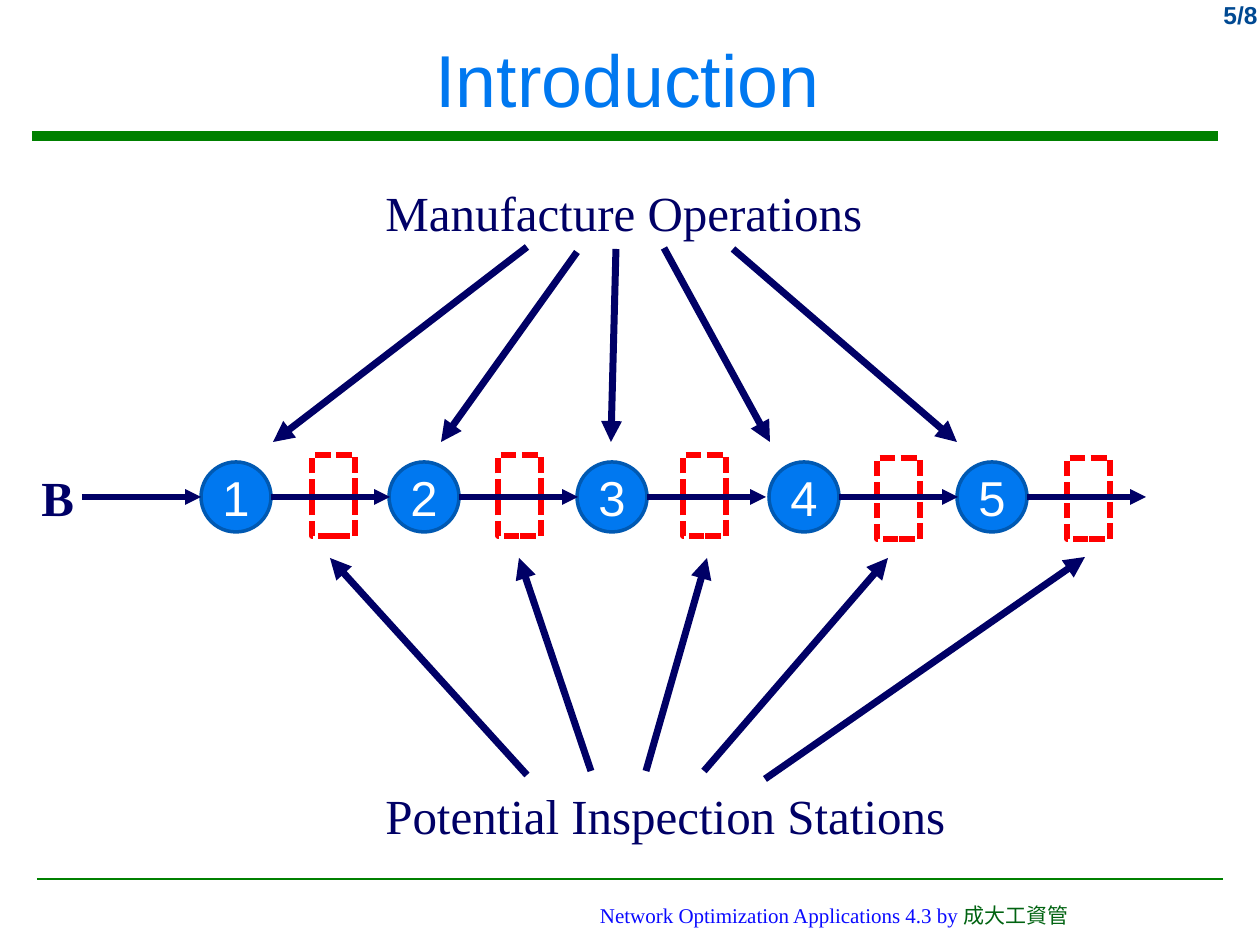
import pptx
import pptx.util
import pptx.dml.color
import pptx.enum.dml
import pptx.enum.shapes
import pptx.enum.text
import pptx.oxml.ns
from lxml import etree

PX = 914400 / 126
COLORS = {
    "navy": "000066", "blue": "0078F0", "rim": "0059B2", "red": "FF0000",
    "green": "008000", "number": "004992", "credit": "0A0AFF",
    "school": "016311", "white": "FFFFFF",
}
SERIF, SANS = "Times New Roman", "Arial"
ALIGN = pptx.enum.text.PP_ALIGN
ANCHOR = pptx.enum.text.MSO_ANCHOR

RULES = [((32, 136), (1218, 136), 5.25), ((37, 879), (1223, 879), 1)]
OPERATIONS = [("1", 201), ("2", 389), ("3", 577), ("4", 769), ("5", 957)]
CIRCLE_TOP, CIRCLE_SIZE = 462, 70
FLOW_Y, FLOW_LENGTH, ENTRY_X = 497, 119, 82
STATIONS = [(312, 455), (498, 455), (683, 455), (877, 458), (1067, 458)]
STATION_SIZE = (43, 81)
OPERATION_ARROWS = [
    ((527, 247), (273, 442)), ((577, 252), (441, 442)),
    ((616, 249), (611, 442)), ((664, 248), (770, 442)),
    ((733, 249), (957, 442)),
]
STATION_ARROWS = [
    ((527, 775), (330, 558)), ((591, 771), (519, 558)),
    ((646, 771), (707, 558)), ((704, 771), (888, 558)),
    ((765, 779), (1085, 557)),
]
LABELS = [
    ("Manufacture Operations", (373, 176, 508, 72), False),
    ("Potential Inspection Stations", (373, 779, 591, 72), False),
    ("B", (29, 461, 58, 72), True),
]
CREDIT = [("Network Optimization Applications 4.3 by ", "credit"),
          ("成大工資管", "school")]


def emu(*lengths):
    return [round(length * PX) for length in lengths]


def rgb(name):
    return pptx.dml.color.RGBColor.from_string(COLORS[name])


def style(run, size, font, color, bold=False):
    run.font.size = pptx.util.Pt(size)
    run.font.name = font
    run.font.bold = bold
    run.font.color.rgb = rgb(color)


def write(frame, parts, size, font, align, anchor=ANCHOR.TOP, bold=False, wrap=True):
    frame.word_wrap = wrap
    frame.vertical_anchor = anchor
    paragraph = frame.paragraphs[0]
    paragraph.alignment = align
    for text, color in parts:
        run = paragraph.add_run()
        run.text = text
        style(run, size, font, color, bold)


def add_line(start, end, color, width, arrow=False):
    line = slide.shapes.add_connector(
        pptx.enum.shapes.MSO_CONNECTOR.STRAIGHT, *emu(*start, *end))
    line.line.color.rgb = rgb(color)
    line.line.width = pptx.util.Pt(width)
    if arrow:
        etree.SubElement(line.line._get_or_add_ln(),
                         pptx.oxml.ns.qn("a:tailEnd"), type="triangle")
    etree.SubElement(line._element.spPr, pptx.oxml.ns.qn("a:effectLst"))


def add_outlined(kind, box, color, width):
    shape = slide.shapes.add_shape(kind, *emu(*box))
    shape.shadow.inherit = False
    shape.line.color.rgb = rgb(color)
    shape.line.width = pptx.util.Pt(width)
    return shape


deck = pptx.Presentation()
deck.slide_width, deck.slide_height = emu(1260, 945)
slide = deck.slides.add_slide(deck.slide_layouts[5])

for start, end, width in RULES:
    add_line(start, end, "green", width)

title = slide.shapes.title
title.left, title.top, title.width, title.height = emu(10, 11, 1235, 134)
write(title.text_frame, [("Introduction", "blue")], 42, SANS, ALIGN.CENTER, ANCHOR.MIDDLE)

page = slide.shapes.add_textbox(*emu(1155, -6, 115, 42))
write(page.text_frame, [("5/8", "number")], 14, SANS, ALIGN.RIGHT, bold=True)

for number, left in OPERATIONS:
    circle = add_outlined(pptx.enum.shapes.MSO_SHAPE.OVAL,
                          (left, CIRCLE_TOP, CIRCLE_SIZE, CIRCLE_SIZE), "rim", 2)
    circle.fill.solid()
    circle.fill.fore_color.rgb = rgb("blue")
    write(circle.text_frame, [(number, "white")], 28, SANS,
          ALIGN.CENTER, ANCHOR.MIDDLE, wrap=False)

for left, top in STATIONS:
    station = add_outlined(pptx.enum.shapes.MSO_SHAPE.RECTANGLE,
                           (left, top, *STATION_SIZE), "red", 3)
    station.fill.background()
    station.line.dash_style = pptx.enum.dml.MSO_LINE.SQUARE_DOT

for x in [ENTRY_X] + [left + CIRCLE_SIZE for _, left in OPERATIONS]:
    add_line((x, FLOW_Y), (x + FLOW_LENGTH, FLOW_Y), "navy", 3, arrow=True)
for start, end in OPERATION_ARROWS + STATION_ARROWS:
    add_line(start, end, "navy", 4, arrow=True)

for text, box, bold in LABELS:
    label = slide.shapes.add_textbox(*emu(*box))
    write(label.text_frame, [(text, "navy")], 28, SERIF, ALIGN.LEFT, bold=bold, wrap=False)

credit = slide.shapes.add_textbox(*emu(432, 890, 805, 50))
write(credit.text_frame, CREDIT, 12, SERIF, ALIGN.CENTER, ANCHOR.MIDDLE)

deck.save("out.pptx")
